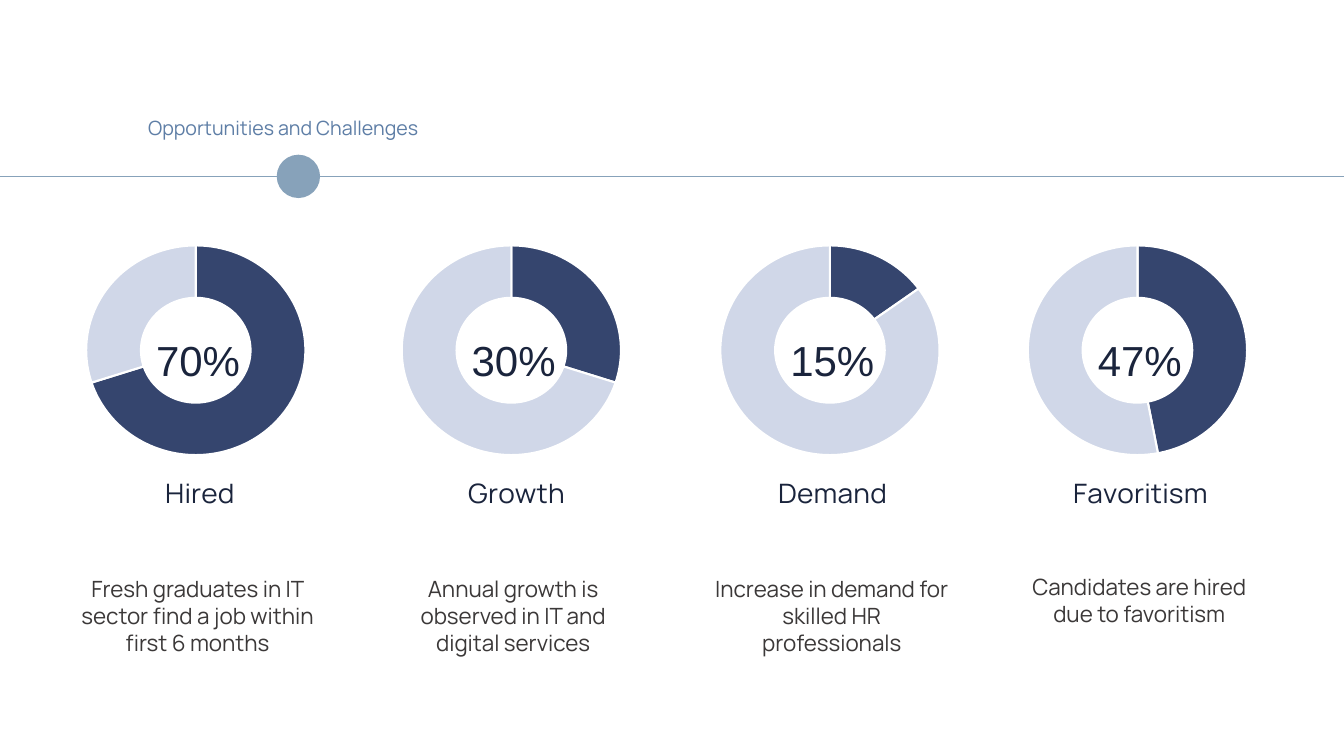
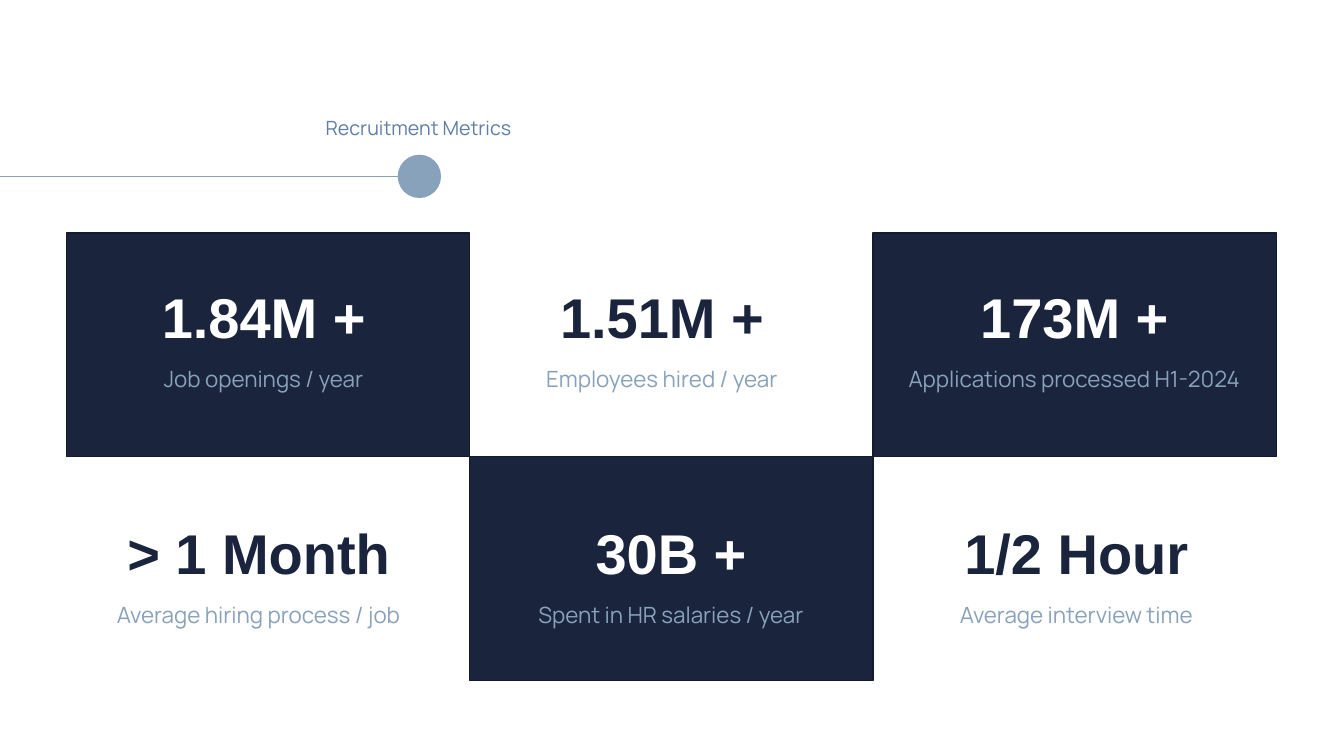
from dataclasses import dataclass

from lxml import etree
from pptx import Presentation
from pptx.chart.data import CategoryChartData
from pptx.dml.color import RGBColor
from pptx.enum import chart as charts, shapes, text
from pptx.oxml import ns
from pptx.util import Inches, Pt


@dataclass(frozen=True)
class Theme:
    navy: str = "1A243C"
    navy_edge: str = "131B2C"
    ring: str = "35456E"
    ring_rest: str = "D0D7E8"
    accent: str = "87A2BA"
    heading: str = "5E7EA6"
    body: str = "3B3838"
    white: str = "FFFFFF"
    text_font: str = "Manrope"
    number_font: str = "Arial"
    heading_size: int = 14
    body_size: int = 16
    title_size: int = 20
    percent_size: int = 30
    number_size: int = 40


THEME = Theme()
SLIDE_WIDTH, SLIDE_HEIGHT = 13.33, 7.5

# Chart left, chart title, title x as a share of the chart, percent, description
RINGS = [
    (-0.13, "Hired", 0.41, 70, "Fresh graduates in IT sector find a job within first 6 months"),
    (3, "Growth", 0.38, 30, "Annual growth is observed in IT and digital services"),
    (6.16, "Demand", 0.36, 15, "Increase in demand for skilled HR professionals"),
    (9.21, "Favoritism", 0.33, 47, "Candidates are hired due to favoritism"),
]

# Rows of the checkerboard: text offset, then number, label and text width
METRIC_ROWS = [
    (0.5, [("1.84M +", "Job openings / year", 3.91),
           ("1.51M +", "Employees hired / year", 3.81),
           ("173M +", "Applications processed H1-2024", 3.99)]),
    (0.62, [("> 1 Month", "Average hiring process / job", 3.81),
            ("30B +", "Spent in HR salaries / year", 3.99),
            ("1/2 Hour", "Average interview time", 4.03)]),
]


def rgb(value):
    return RGBColor.from_string(value)


def style_font(font, name, size, color, bold=False):
    font.name, font.size, font.bold = name, Pt(size), bold
    font.color.rgb = rgb(color)


def add_text(page, area, words, name, size, color, bold=False,
             align=text.PP_ALIGN.CENTER, spacing=None):
    box = page.shapes.add_textbox(*map(Inches, area))
    frame = box.text_frame
    frame.word_wrap = True
    frame.vertical_anchor = text.MSO_ANCHOR.MIDDLE
    frame.text = words
    para = frame.paragraphs[0]
    para.alignment = align
    if spacing:
        para.line_spacing = spacing
    style_font(para.runs[0].font, name, size, color, bold)


def add_panel(page, kind, area, fill, edge=None):
    panel = page.shapes.add_shape(kind, *map(Inches, area))
    panel.shadow.inherit = False
    panel.fill.solid()
    panel.fill.fore_color.rgb = rgb(fill)
    if edge:
        panel.line.color.rgb = rgb(edge)
        panel.line.width = Pt(1)
    else:
        panel.line.fill.background()


def add_timeline(page, heading, heading_left, dot_center, line_end):
    """Rule with a dot that marks the section, and its heading."""
    middle, dot = 1.75, 0.43
    rule = page.shapes.add_connector(
        shapes.MSO_CONNECTOR.STRAIGHT, 0, Inches(middle), Inches(line_end), Inches(middle))
    rule.line.color.rgb = rgb(THEME.accent)
    rule.line.width = Pt(1)
    etree.SubElement(rule._element.spPr, ns.qn("a:effectLst"))
    add_panel(page, shapes.MSO_SHAPE.OVAL,
              (dot_center - dot / 2, middle - dot / 2, dot, dot), THEME.accent)
    add_text(page, (heading_left, 1.08, 3.15, 0.38), heading, THEME.text_font,
             THEME.heading_size, THEME.heading, align=text.PP_ALIGN.LEFT)


def set_layout(parent, index, **values):
    """Give a chart part a manual layout, in shares of the chart."""
    for old in parent.findall(ns.qn("c:layout")):
        parent.remove(old)
    layout = etree.Element(ns.qn("c:layout"))
    manual = etree.SubElement(layout, ns.qn("c:manualLayout"))
    for tag, value in values.items():
        etree.SubElement(manual, ns.qn(f"c:{tag}")).set("val", str(value))
    parent.insert(index, layout)


def add_ring(page, left, top, title, title_x, percent, description):
    """Doughnut chart with its percentage and description."""
    width, height = 4.19, 2.98
    data = CategoryChartData()
    data.categories = ["1", "2"]
    data.add_series("Series 1", (percent, 100 - percent))
    chart = page.shapes.add_chart(
        charts.XL_CHART_TYPE.DOUGHNUT, *map(Inches, (left, top, width, height)), data).chart
    chart.has_legend = False
    chart.font.name, chart.font.size = "Calibri", Pt(10)

    # Title below the ring
    chart.has_title = True
    frame = chart.chart_title.text_frame
    frame.text = title
    style_font(frame.paragraphs[0].runs[0].font, THEME.text_font, THEME.title_size, THEME.navy)
    body = chart._chartSpace.find(ns.qn("c:chart"))
    set_layout(body.find(ns.qn("c:title")), 1, xMode="edge", yMode="edge", x=title_x, y=0.86)
    set_layout(body.find(ns.qn("c:plotArea")), 0, layoutTarget="inner", xMode="edge",
               yMode="edge", x=0.235, y=0.065, w=0.519, h=0.779)

    # Ring
    plot = chart.plots[0]
    plot.vary_by_categories = True
    plot._element.find(ns.qn("c:holeSize")).set("val", "75")
    for index, color in enumerate((THEME.ring, THEME.ring_rest)):
        part = plot.series[0].points[index].format
        part.fill.solid()
        part.fill.fore_color.rgb = rgb(color)
        part.line.color.rgb = rgb(THEME.white)
        part.line.width = Pt(1.5)

    # Texts centred on the ring
    center = left + width / 2
    add_text(page, (center - 0.63, top + 1.18, 1.26, 0.41), f"{percent}%",
             THEME.number_font, THEME.percent_size, THEME.navy)
    lift = 0.16 if len(description) < 40 else 0
    add_text(page, (center - 1.27, top + 3.43 - lift, 2.53, 1), description,
             THEME.text_font, THEME.body_size, THEME.body)


def add_metric(page, area, dark, offset, number, label, text_width):
    """One cell of the checkerboard."""
    left, top = area[:2]
    if dark:
        add_panel(page, shapes.MSO_SHAPE.RECTANGLE, area, THEME.navy, THEME.navy_edge)
    add_text(page, (left, top + offset, text_width, 0.73), number, THEME.number_font,
             THEME.number_size, THEME.white if dark else THEME.navy, bold=True, spacing=0.9)
    add_text(page, (left, top + offset + 0.6, text_width, 0.73), label, THEME.text_font,
             THEME.body_size, THEME.accent, spacing=0.9)


def build_rings(page):
    add_timeline(page, "Opportunities and Challenges", 1.37, 2.96, SLIDE_WIDTH)
    for left, *content in RINGS:
        add_ring(page, left, 2.18, *content)


def build_metrics(page):
    add_timeline(page, "Recruitment Metrics", 3.13, 4.16, 4.16)
    width, height = 4, 2.22
    for row, (offset, metrics) in enumerate(METRIC_ROWS):
        for column, metric in enumerate(metrics):
            area = (0.66 + column * width, 2.31 + row * height, width, height)
            add_metric(page, area, (row + column) % 2 == 0, offset, *metric)


def main():
    deck = Presentation()
    deck.slide_width, deck.slide_height = Inches(SLIDE_WIDTH), Inches(SLIDE_HEIGHT)
    for build in (build_rings, build_metrics):
        build(deck.slides.add_slide(deck.slide_layouts[6]))
    deck.save("out.pptx")


if __name__ == "__main__":
    main()
